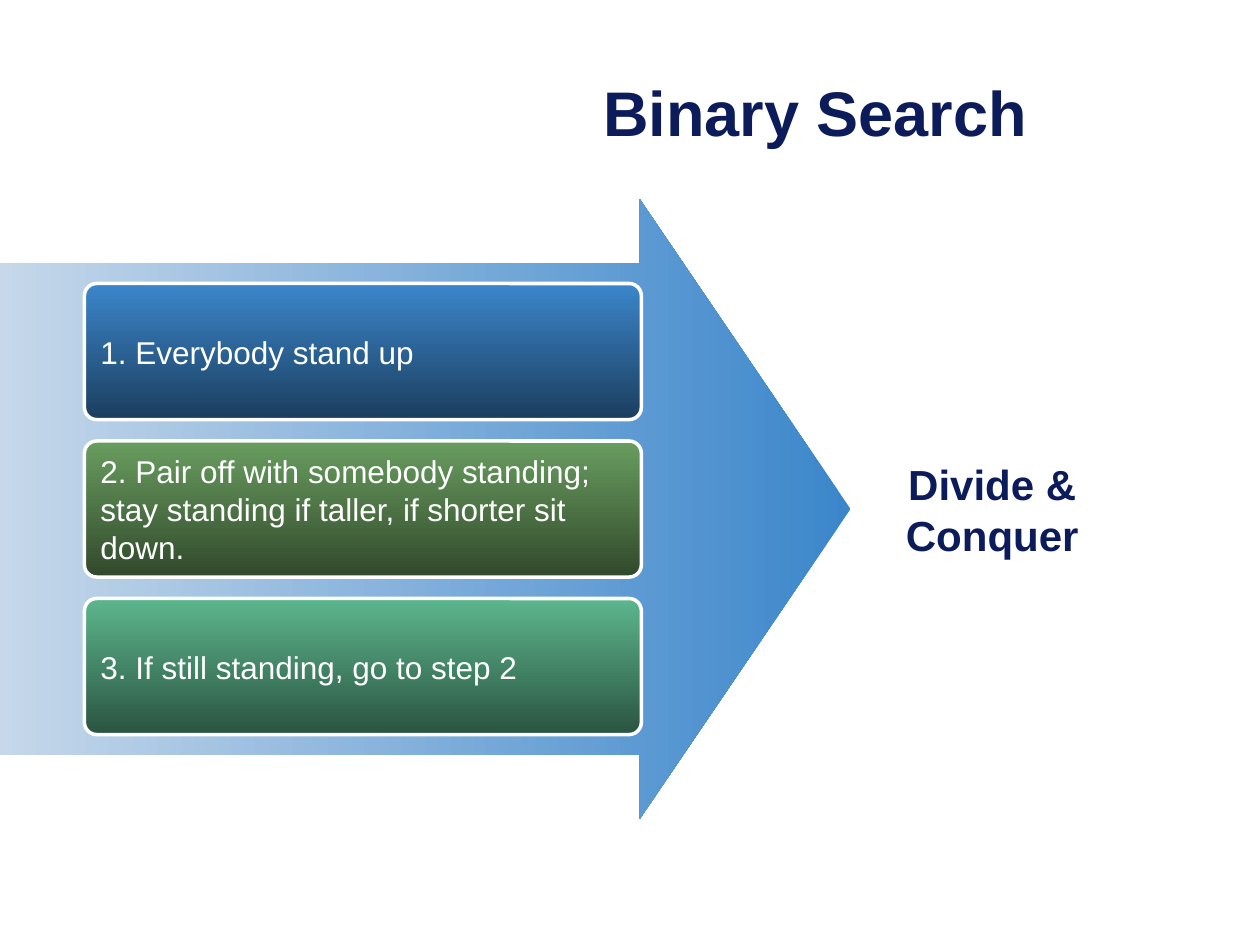
from dataclasses import dataclass

from pptx import Presentation
from pptx.dml.color import RGBColor
from pptx.enum.shapes import MSO_SHAPE
from pptx.enum.text import MSO_ANCHOR, PP_ALIGN
from pptx.util import Inches, Pt

ARROW = MSO_SHAPE.RIGHT_ARROW
ROUND = MSO_SHAPE.ROUNDED_RECTANGLE
MIDDLE = MSO_ANCHOR.MIDDLE
LEFT, CENTER, RIGHT = PP_ALIGN.LEFT, PP_ALIGN.CENTER, PP_ALIGN.RIGHT


@dataclass(frozen=True)
class Theme:
    font: str = "Arial"
    navy: str = "0C1B5A"
    white: str = "FFFFFF"
    arrow: tuple = ("3B86CB", "C6D8EA")
    steps: tuple = (("3B86CB", "1B3E5E"), ("699D5F", "31492C"), ("5CB68D", "2B5441"))
    title: int = 36
    goal: int = 24
    body: int = 18


THEME = Theme()
STEPS = (
    "1. Everybody stand up",
    "2. Pair off with somebody standing; stay standing if taller, if shorter sit down.",
    "3. If still standing, go to step 2",
)


def apply(item, values):
    for name, value in values.items():
        setattr(item, name, value)


def write(shape, text, size, color, align, bold=False):
    frame = shape.text_frame
    apply(frame, {
        "word_wrap": True, "vertical_anchor": MIDDLE,
        "margin_left": Inches(0.1), "margin_right": Inches(0.1),
        "margin_top": Inches(0.05), "margin_bottom": Inches(0.05),
    })
    para = frame.paragraphs[0]
    para.alignment = align
    run = para.add_run()
    run.text = text
    apply(run.font, {"name": THEME.font, "size": Pt(size), "bold": bold})
    run.font.color.rgb = RGBColor.from_string(color)


def add_shape(slide, kind, box, adjust, colors, angle):
    shape = slide.shapes.add_shape(kind, *map(Inches, box))
    shape.shadow.inherit = False
    for index, value in enumerate(adjust):
        shape.adjustments[index] = value
    shape.fill.gradient()
    shape.fill.gradient_angle = angle
    for stop, color in zip(shape.fill.gradient_stops, colors):
        stop.color.rgb = RGBColor.from_string(color)
    shape.line.fill.background()
    return shape


def add_label(slide, box, text, size, align):
    label = slide.shapes.add_textbox(*map(Inches, box))
    write(label, text, size, THEME.navy, align, True)


def add_steps(slide, box, gap):
    left, top, width, height = box
    tall = (height - gap * (len(STEPS) - 1)) / len(STEPS)
    for index, (text, colors) in enumerate(zip(STEPS, THEME.steps)):
        place = left, top + index * (tall + gap), width, tall
        card = add_shape(slide, ROUND, place, [0.09], colors, 270)
        card.line.color.rgb = RGBColor.from_string(THEME.white)
        card.line.width = Pt(2)
        write(card, text, THEME.body, THEME.white, LEFT)


def add_flow(slide, box):
    left, top, width, height = box
    add_shape(slide, ARROW, box, [0.793, 0.34], THEME.arrow, 180)
    add_steps(slide, (left + 0.67, top + 0.67, 4.42, height - 1.34), 0.17)
    add_label(slide, (left + width - 0.25, top + 1.75, 2.75, 1.42),
              "Divide & Conquer", THEME.goal, CENTER)


def main():
    deck = Presentation()
    apply(deck, {"slide_width": Inches(10), "slide_height": Inches(7.5)})
    slide = deck.slides.add_slide(deck.slide_layouts[6])
    add_label(slide, (0, 0.62, 8.25, 0.53), "Binary Search", THEME.title, RIGHT)
    add_flow(slide, (0, 1.58, 6.75, 4.92))
    deck.save("out.pptx")


if __name__ == "__main__":
    main()
